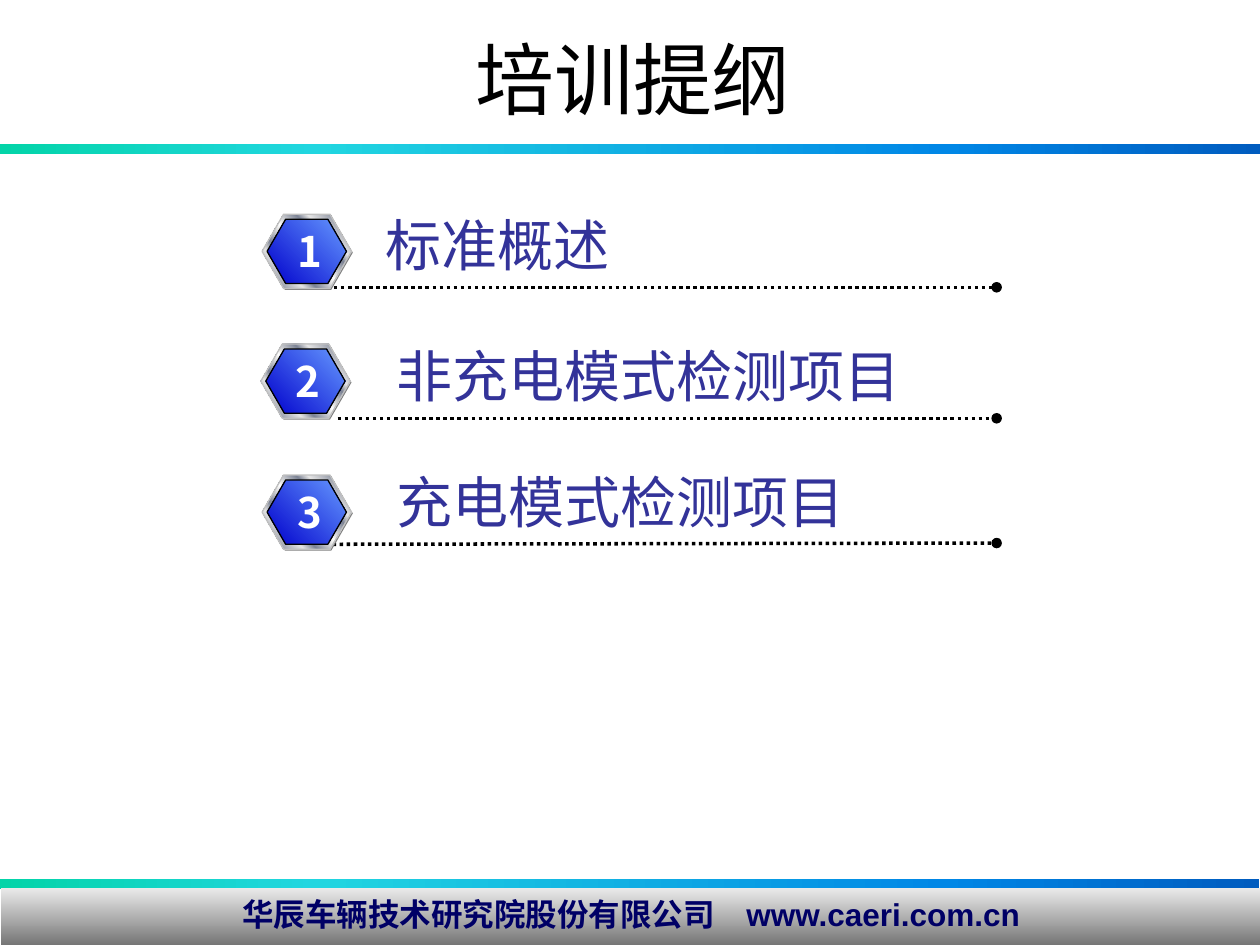
"""Build a training outline slide with three numbered hexagon rows."""
from lxml.etree import SubElement
from pptx import Presentation
from pptx.dml.color import RGBColor
from pptx.enum.dml import MSO_LINE
from pptx.enum.shapes import MSO_CONNECTOR, MSO_SHAPE as SHAPE
from pptx.enum.text import MSO_ANCHOR as ANCHOR, PP_ALIGN as ALIGN
from pptx.oxml.ns import qn
from pptx.util import Inches, Pt

BLACK = RGBColor(0x00, 0x00, 0x00)
WHITE = RGBColor(0xFF, 0xFF, 0xFF)
NAVY = RGBColor(0x00, 0x00, 0x66)
INDIGO = RGBColor(0x33, 0x33, 0x99)
GRAY = RGBColor(0x80, 0x80, 0x80)
SILVER = RGBColor(0xC0, 0xC0, 0xC0)
LIGHT = RGBColor(0xE6, 0xE6, 0xE6)
STEEL = RGBColor(0x7D, 0x84, 0x96)
BAND = [(0, RGBColor(0x03, 0xD4, 0xA8)), (25, RGBColor(0x21, 0xD6, 0xE0)),
        (75, RGBColor(0x00, 0x87, 0xE6)), (100, RGBColor(0x00, 0x5C, 0xBF))]
FOOTER = [(0, RGBColor(0xEA, 0xEA, 0xEA)), (100, RGBColor(0x6C, 0x6C, 0x6C))]
METAL = [(0, LIGHT), (8, STEEL), (26, LIGHT), (34, STEEL), (46, LIGHT), (50, WHITE),
         (53, LIGHT), (66, STEEL), (73, LIGHT), (92, STEEL), (100, LIGHT)]
BLUE = [(0, RGBColor(0x00, 0x00, 0xCC)), (100, RGBColor(0x66, 0x99, 0xFF))]
CJK = "Noto Sans CJK SC"

prs = Presentation()
prs.slide_width, prs.slide_height = Inches(10), Inches(7.5)
s = prs.slides.add_slide(prs.slide_layouts[6])
CELL = prs.slide_width / 100


def add_text(text, box=None, sp=None, size=32, color=INDIGO, font=CJK, bold=False,
             align=ALIGN.LEFT, anchor=ANCHOR.TOP, wrap=True):
    if sp is None:
        sp = s.shapes.add_textbox(*(int(v * CELL) for v in box))
    tf = sp.text_frame
    tf.word_wrap, tf.vertical_anchor = wrap, anchor
    p = tf.paragraphs[0]
    p.alignment = align
    r = p.add_run()
    r.text = text
    r.font.name, r.font.size, r.font.bold = font, Pt(size), bold
    r.font.color.rgb = color
    SubElement(r.font._element, qn("a:ea"), typeface=CJK)


def add_block(kind, box, stops, angle=0, line=None):
    sp = s.shapes.add_shape(kind, *(int(v * CELL) for v in box))
    sp.shadow.inherit = False
    if kind == SHAPE.HEXAGON:
        sp.adjustments[0] = 0.289
    if len(stops) == 1:
        sp.fill.solid()
        sp.fill.fore_color.rgb = stops[0][1]
    else:
        sp.fill.gradient()
        sp.fill.gradient_angle = angle
        gs_list = sp._element.spPr.find(".//" + qn("a:gsLst"))
        for gs in list(gs_list):
            gs_list.remove(gs)
        for pos, color in stops:
            gs = SubElement(gs_list, qn("a:gs"), pos=str(pos * 1000))
            SubElement(gs, qn("a:srgbClr"), val=str(color))
    if line is None:
        sp.line.fill.background()
    else:
        sp.line.color.rgb, sp.line.width = line, Pt(0.75)
    return sp


add_block(SHAPE.RECTANGLE, (0, 69.8, 99.9, 0.8), BAND)
add_block(SHAPE.RECTANGLE, (0, 11.4, 100, 0.8), BAND)
footer = add_block(SHAPE.RECTANGLE, (0.1, 70.5, 100, 4.9), FOOTER, angle=270)
add_text("华辰车辆技术研究院股份有限公司　www.caeri.com.cn", sp=footer, size=18,
         color=NAVY, font="Arial", bold=True, align=ALIGN.CENTER)
add_text("培训提纲", (1.6, 1.6, 97.3, 9.2), size=45, color=BLACK,
         align=ALIGN.CENTER, anchor=ANCHOR.MIDDLE)

rows = [("标准概述", 20.8, 17, 29.6, 16.2, 26.5, 22.8, 22.8),
        ("非充电模式检测项目", 20.7, 27.3, 30.5, 26.6, 26.8, 33.2, 33.2),
        ("充电模式检测项目", 20.8, 37.7, 30.5, 36.6, 26.4, 43.2, 43.1)]
for number, (label, x, y, label_x, label_y, line_x, line_y, end_y) in enumerate(rows, 1):
    ln = s.shapes.add_connector(MSO_CONNECTOR.STRAIGHT, *(
        int(v * CELL) for v in (line_x, line_y, 79.1, end_y)))
    ln.line.color.rgb, ln.line.width = BLACK, Pt(2)
    ln.line.dash_style = MSO_LINE.ROUND_DOT
    SubElement(ln.line._get_or_add_ln(), qn("a:tailEnd"), type="oval")
    SubElement(ln._element.spPr, qn("a:effectLst"))
    add_block(SHAPE.HEXAGON, (x + 0.1, y + 0.1, 7.1, 5.9), [(0, GRAY)])
    add_block(SHAPE.HEXAGON, (x, y, 7.1, 5.9), METAL, angle=45, line=SILVER)
    add_block(SHAPE.HEXAGON, (x + 0.4, y + 0.4, 6.3, 5.1), BLUE, angle=45, line=BLACK)
    add_text(str(number), (x + 1.8, y + 0.4, 3.5, 5), size=24, color=WHITE, bold=True,
             align=ALIGN.CENTER, wrap=False)
    add_text(label, (label_x, label_y, 45.3, 6.4))

prs.save("out.pptx")
